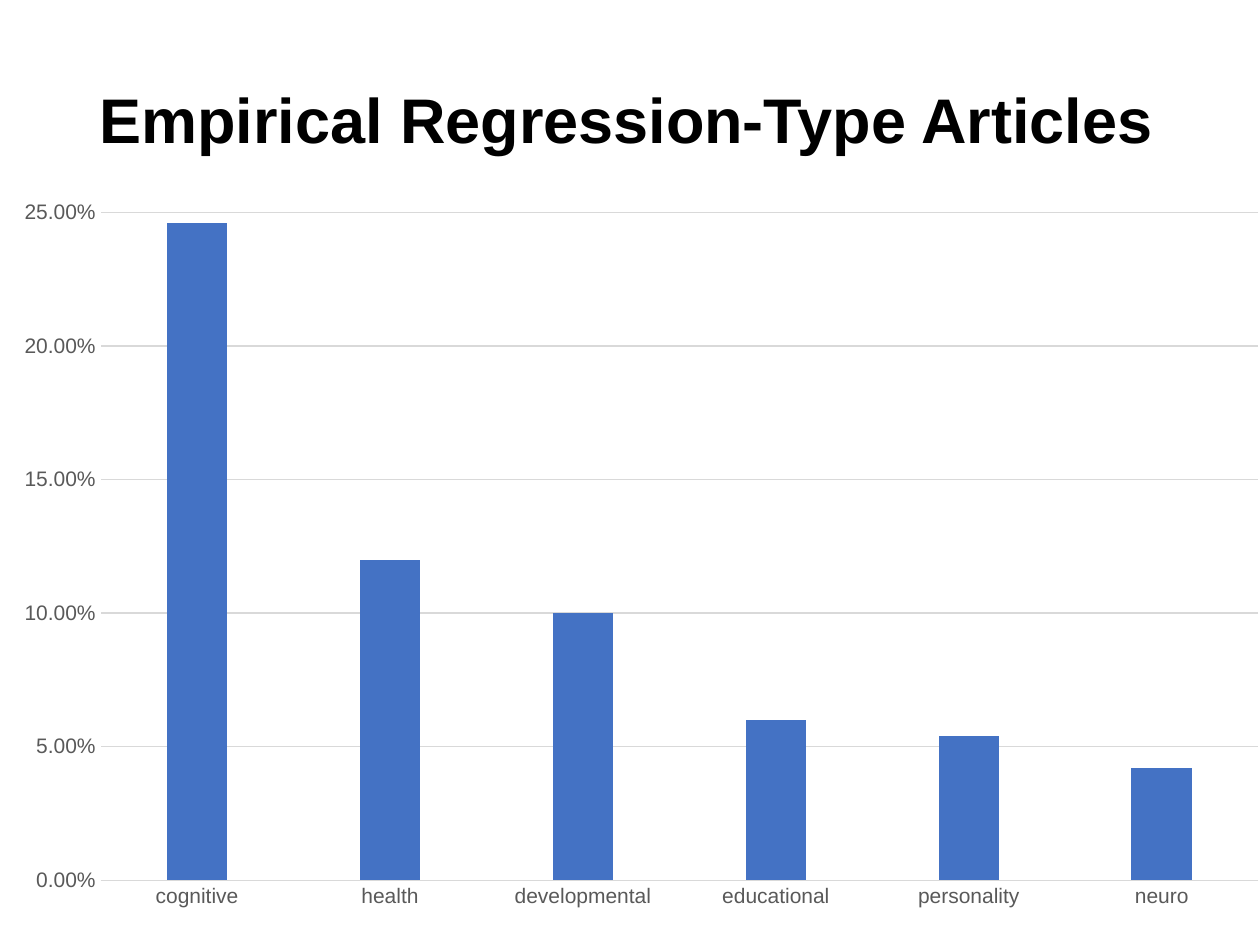
from pptx import Presentation
from pptx.chart.data import CategoryChartData as ChartData
from pptx.dml.color import RGBColor
from pptx.enum.chart import XL_CHART_TYPE as Kind, XL_TICK_MARK as Tick
from pptx.enum.text import MSO_ANCHOR as Anchor, PP_ALIGN as Align
from pptx.util import Inches, Pt

BLACK = RGBColor(0x00, 0x00, 0x00)
GRAY = RGBColor(0x59, 0x59, 0x59)
PALE = RGBColor(0xD9, 0xD9, 0xD9)
BLUE = RGBColor(0x44, 0x72, 0xC4)
FACE = "Arial"

deck = Presentation()
deck.slide_width, deck.slide_height = Inches(10), Inches(7.5)
slide = deck.slides.add_slide(deck.slide_layouts[6])


def add_text(text, left, top, width, height, size=12, color=BLACK, bold=False, space=1.0):
    box = slide.shapes.add_textbox(Inches(left), Inches(top), Inches(width), Inches(height))
    frame = box.text_frame
    frame.word_wrap = True
    frame.margin_right = 0
    frame.vertical_anchor = Anchor.MIDDLE
    para = frame.paragraphs[0]
    para.alignment = Align.LEFT
    para.line_spacing = space
    run = para.add_run()
    run.text = text
    font = run.font
    font.name, font.size, font.bold = FACE, Pt(size), bold
    font.color.rgb = color


add_text("Empirical Regression-Type Articles", 0.69, 0.4, 8.62, 0.96, size=36, bold=True, space=1.2)

shares = {
    "cognitive": 0.246,
    "health": 0.12,
    "developmental": 0.1,
    "educational": 0.06,
    "personality": 0.054,
    "neuro": 0.042,
}
data = ChartData(number_format="0.00%")
data.categories = list(shares)
data.add_series("Series 1", list(shares.values()))
chart = slide.shapes.add_chart(
    Kind.COLUMN_CLUSTERED, Inches(-0.01), Inches(1.48), Inches(10.2), Inches(5.84), data
).chart
chart.has_legend = False
chart.has_title = False
chart.font.name, chart.font.size = FACE, Pt(10)
chart.font.color.rgb = BLACK

plot = chart.plots[0]
plot.vary_by_categories = False
plot.gap_width, plot.overlap = 219, -27
fill = plot.series[0].format.fill
fill.solid()
fill.fore_color.rgb = BLUE

names, rates = chart.category_axis, chart.value_axis
for axis in (names, rates):
    axis.major_tick_mark = axis.minor_tick_mark = Tick.NONE
    font = axis.tick_labels.font
    font.name, font.size = FACE, Pt(12)
    font.color.rgb = GRAY

rates.minimum_scale, rates.maximum_scale, rates.major_unit = 0, 0.25, 0.05
rates.tick_labels.number_format = "0.00%"
rates.tick_labels.number_format_is_linked = False
rates.format.line.fill.background()
rates.has_major_gridlines = True
for line in (names.format.line, rates.major_gridlines.format.line):
    line.color.rgb = PALE
    line.width = Pt(0.75)

deck.save("out.pptx")
